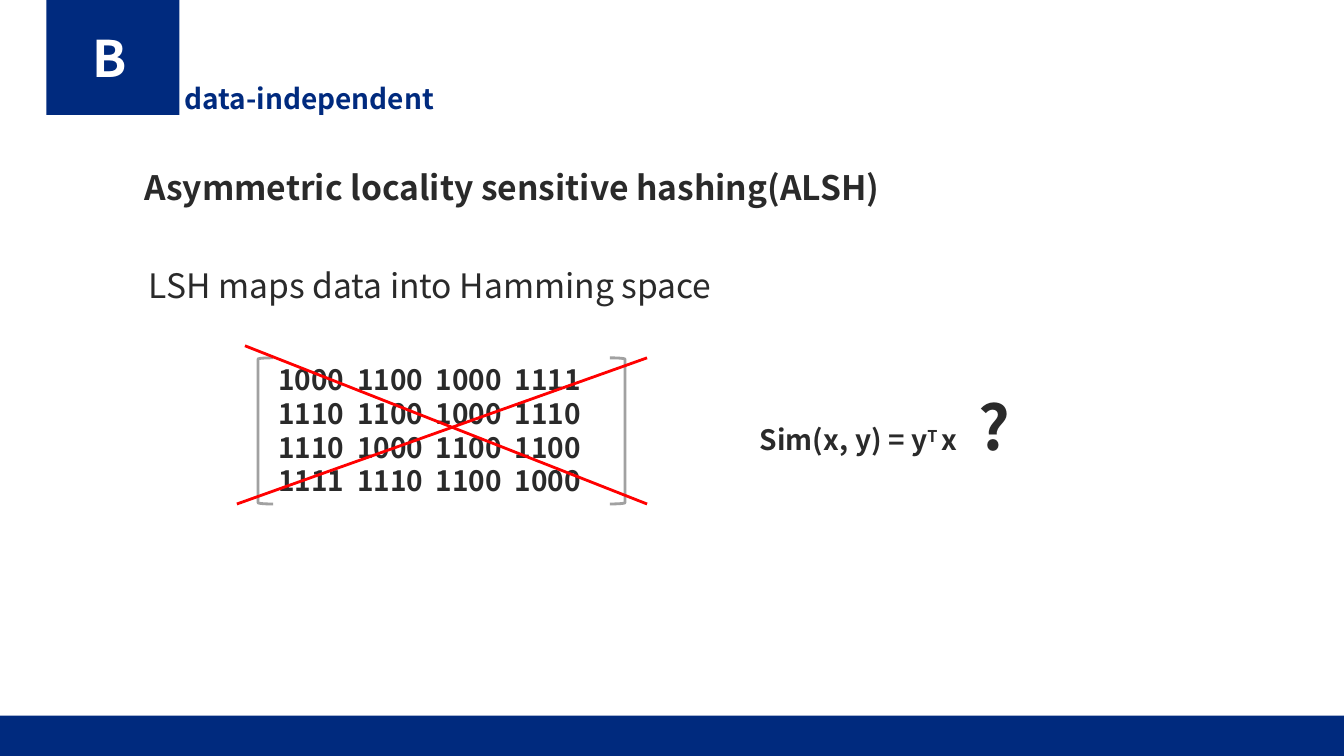
from typing import NamedTuple

from lxml.etree import SubElement
from pptx import Presentation
from pptx.dml.color import RGBColor
from pptx.enum.shapes import MSO_CONNECTOR, MSO_SHAPE
from pptx.enum.text import MSO_ANCHOR, PP_ALIGN
from pptx.oxml.ns import qn
from pptx.util import Pt

FONT = "Noto Sans CJK SC"
NAVY, INK, GRAY, RED, WHITE = "002A7E", "2A2A2A", "A1A1A1", "FF0000", "FFFFFF"


class Box(NamedTuple):
    left: float
    top: float
    width: float
    height: float


class Run(NamedTuple):
    text: str
    size: float = 20
    raised: bool = False


class Line(NamedTuple):
    x1: float
    y1: float
    x2: float
    y2: float


BARS = [Box(0, 511.2, 960, 28.8), Box(33.12, 0, 95.04, 82.08)]
BRACKETS = [
    (MSO_SHAPE.LEFT_BRACKET, Box(184.3, 255.6, 10.8, 104.4)),
    (MSO_SHAPE.RIGHT_BRACKET, Box(435.6, 255.6, 10.8, 104.4)),
]
CROSS = [Line(175, 247, 462.2, 360), Line(169.2, 360, 462.2, 255.6)]
CODES = [
    ["1000", "1100", "1000", "1111"],
    ["1110", "1100", "1000", "1110"],
    ["1110", "1000", "1100", "1100"],
    ["1111", "1110", "1100", "1000"],
]
STEP = 56.3

deck = Presentation()
deck.slide_width, deck.slide_height = Pt(960), Pt(540)
slide = deck.slides.add_slide(deck.slide_layouts[6])


def color(code: str) -> RGBColor:
    return RGBColor.from_string(code)


def shape(kind: MSO_SHAPE, box: Box, fill: str = "", line: str = "") -> None:
    item = slide.shapes.add_shape(kind, *map(Pt, box))
    item.shadow.inherit = False
    if fill:
        item.fill.solid()
        item.fill.fore_color.rgb = color(fill)
    else:
        item.fill.background()
    if line:
        item.line.color.rgb = color(line)
        item.line.width = Pt(2)
    else:
        item.line.fill.background()


def write(rows: list[list[Run]], box: Box, *, tone: str = INK, bold: bool = True,
          wrap: bool = True, inset: float = 3.6, tabs: tuple[float, ...] = ()) -> None:
    """Add a text box with one paragraph for each row of runs."""
    frame = slide.shapes.add_textbox(*map(Pt, box)).text_frame
    frame.word_wrap = wrap
    frame.vertical_anchor = MSO_ANCHOR.TOP
    frame.margin_left = frame.margin_right = Pt(inset)
    frame.margin_top = frame.margin_bottom = Pt(3.6)
    for num, row in enumerate(rows):
        para = frame.add_paragraph() if num else frame.paragraphs[0]
        para.alignment = PP_ALIGN.LEFT
        if tabs:
            stops = SubElement(para._p.get_or_add_pPr(), qn("a:tabLst"))
            for stop in tabs:
                SubElement(stops, qn("a:tab"), pos=str(Pt(stop)), algn="l")
        for part in row:
            run = para.add_run()
            run.text = part.text
            run.font.name = FONT
            run.font.size = Pt(part.size)
            run.font.bold = bold
            run.font.color.rgb = color(tone)
            if part.raised:
                run._r.get_or_add_rPr().set("baseline", "30000")


def stroke(line: Line) -> None:
    item = slide.shapes.add_connector(MSO_CONNECTOR.STRAIGHT, *map(Pt, line))
    item.line.color.rgb = color(RED)
    item.line.width = Pt(2)
    SubElement(item._element.spPr, qn("a:effectLst"))


def main() -> None:
    for bar in BARS:
        shape(MSO_SHAPE.RECTANGLE, bar, fill=NAVY)
    write([[Run("B", 36)]], Box(62.64, 15.84, 33.84, 50.4), tone=WHITE, wrap=False)
    write([[Run("data-independent")]], Box(128.16, 54.72, 190.08, 31.68),
          tone=NAVY, wrap=False)
    write([[Run("Asymmetric locality sensitive hashing(ALSH)", 24)]],
          Box(99.36, 115.92, 771.12, 36))
    write([[Run("LSH maps data into Hamming space", 24)]],
          Box(99.36, 185.76, 748.8, 36), bold=False, inset=7.2)
    for kind, box in BRACKETS:
        shape(kind, box, line=GRAY)
    write([[Run("\t".join(row))] for row in CODES], Box(195.12, 255.6, 246.24, 104.4),
          tabs=tuple(STEP * num for num in range(1, 4)))
    formula = [Run("Sim(x, y) = y"), Run("T ", raised=True), Run("x\t"), Run("?", 44)]
    write([formula], Box(535.68, 274.32, 208.08, 60.48), inset=7.2, tabs=(156.5,))
    for line in CROSS:
        stroke(line)
    deck.save("out.pptx")


if __name__ == "__main__":
    main()
